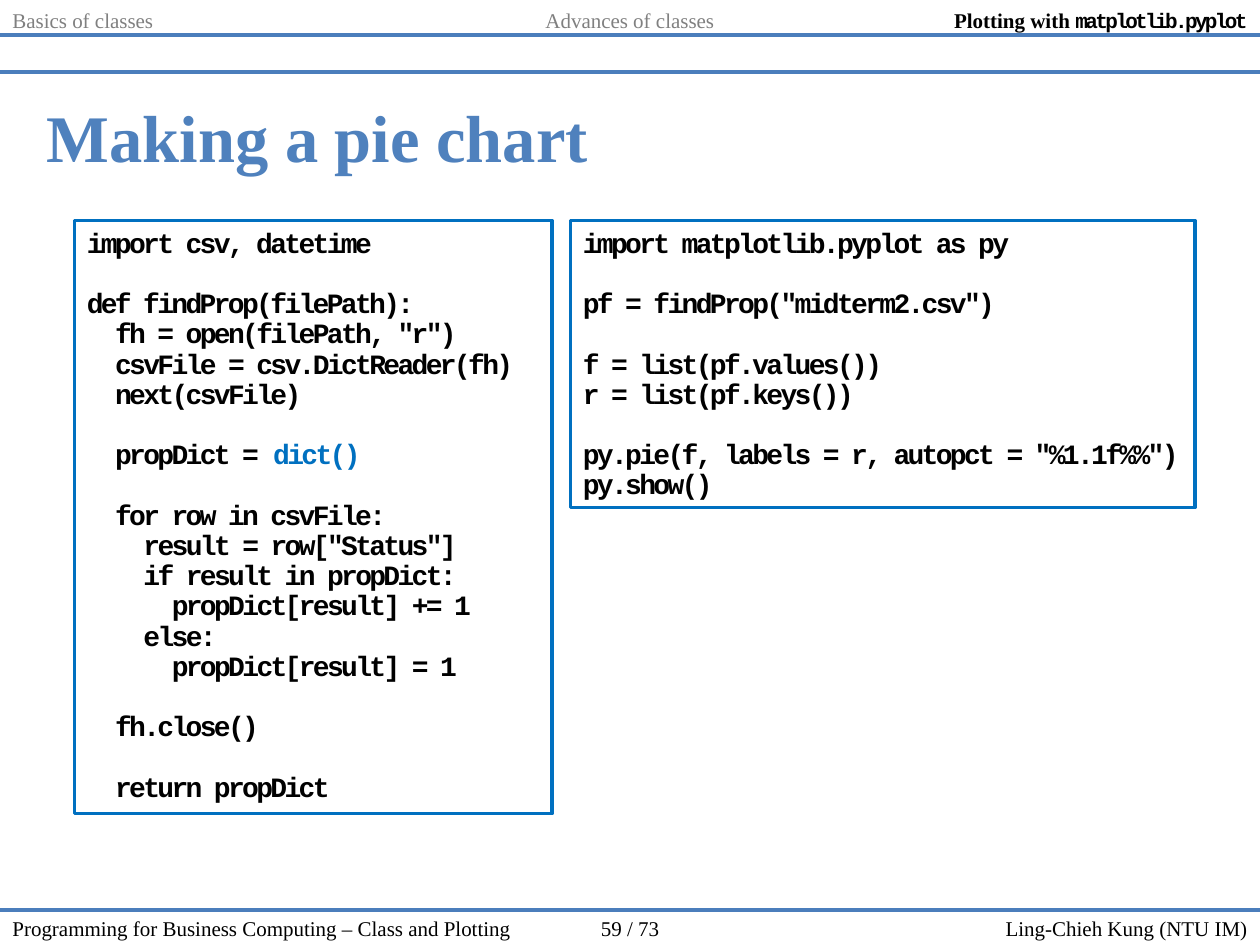
from pptx import Presentation
from pptx.dml.color import RGBColor
from pptx.enum import shapes, text
from pptx.oxml import xmlchemy
from pptx.util import Pt

COLORS = {"black": "000000", "grey": "808080", "white": "FFFFFF",
          "rule": "4B7EBC", "title": "4F81BD", "code": "0070C0"}
SERIF, MONO = "Times New Roman", "Courier New"
LEFT, CENTER, RIGHT = (text.PP_ALIGN.LEFT, text.PP_ALIGN.CENTER,
                       text.PP_ALIGN.RIGHT)
WIDTH, HEIGHT, BAND = 720, 540, 20.16
LINE_PITCH, INDENT_STEP, TRACKING = 17.25, 8.1, "-150"


class Page:
    def __init__(self, deck):
        self.page = deck.slides.add_slide(deck.slide_layouts[5])

    def color(self, name):
        return RGBColor.from_string(COLORS[name])

    def style(self, font, face, size, color, bold=False):
        font.name, font.size, font.bold = face, Pt(size), bold
        font.color.rgb = self.color(color)

    def place(self, shape, left, top, width, height):
        shape.left, shape.top = Pt(left), Pt(top)
        shape.width, shape.height = Pt(width), Pt(height)

    def span(self, para, words, color=None, mono=False):
        span = para.add_run()
        span.text = words
        if color:
            span.font.color.rgb = self.color(color)
        if mono:
            span.font.name = MONO
            span.font._element.set("spc", TRACKING)

    def title(self, words, *area):
        box = self.page.shapes.title
        self.place(box, *area)
        box.text_frame.text = words
        box.text_frame.vertical_anchor = text.MSO_ANCHOR.MIDDLE
        para = box.text_frame.paragraphs[0]
        para.alignment = LEFT
        self.style(para.font, SERIF, 38, "title", True)

    def rule(self, top):
        line = self.page.shapes.add_connector(
            shapes.MSO_CONNECTOR.STRAIGHT, 0, Pt(top), Pt(WIDTH), Pt(top))
        line.line.color.rgb = self.color("rule")
        line.line.width = Pt(2.25)
        line._element.spPr.append(xmlchemy.OxmlElement("a:effectLst"))

    def label(self, words, left, top, width, align, color="black",
              bold=False, code=""):
        box = self.page.shapes.add_textbox(
            Pt(left), Pt(top), Pt(width), Pt(BAND))
        box.text_frame.word_wrap = True
        para = box.text_frame.paragraphs[0]
        para.alignment = align
        self.style(para.font, SERIF, 12, color, bold)
        self.span(para, words)
        if code:
            self.span(para, code, mono=True)

    def code(self, source, left, top, width, height, accent=None):
        box = self.page.shapes.add_shape(
            shapes.MSO_SHAPE.RECTANGLE, Pt(left), Pt(top), Pt(width), Pt(height))
        box.shadow.inherit = False
        box.fill.solid()
        box.fill.fore_color.rgb = self.color("white")
        box.line.color.rgb = self.color("code")
        box.line.width = Pt(2)
        frame = box.text_frame
        frame.word_wrap = True
        frame.vertical_anchor = text.MSO_ANCHOR.TOP
        frame.margin_top = Pt(4.7)
        para, gap = frame.paragraphs[0], 0
        for number, line in enumerate(source.strip().splitlines()):
            if not line:
                gap = LINE_PITCH
                continue
            if number:
                para = frame.add_paragraph()
            para.alignment = LEFT
            para.line_spacing, para.space_before = Pt(LINE_PITCH), Pt(gap)
            gap = 0
            words = line.lstrip()
            indent = (len(line) - len(words)) * INDENT_STEP
            para._p.get_or_add_pPr().set("marL", str(Pt(indent)))
            self.style(para.font, MONO, 16, "black", True)
            before, found, after = words.partition(accent or "\n")
            for part, color in ((before, None), (found, "code"), (after, None)):
                if part:
                    self.span(para, part, color, mono=True)


FIND_PROP = """
import csv, datetime

def findProp(filePath):
  fh = open(filePath, "r")
  csvFile = csv.DictReader(fh)
  next(csvFile)

  propDict = dict()

  for row in csvFile:
    result = row["Status"]
    if result in propDict:
      propDict[result] += 1
    else:
      propDict[result] = 1

  fh.close()

  return propDict
"""

DRAW_PIE = """
import matplotlib.pyplot as py

pf = findProp("midterm2.csv")

f = list(pf.values())
r = list(pf.keys())

py.pie(f, labels = r, autopct = "%1.1f%%")
py.show()
"""

deck = Presentation()
deck.slide_width, deck.slide_height = Pt(WIDTH), Pt(HEIGHT)
page = Page(deck)

footer = HEIGHT - BAND
for top in (BAND, 41, footer):
    page.rule(top)

page.label("Programming for Business Computing – Class and Plotting",
           0, footer, 326, LEFT)
page.label("59 / 73", 326, footer, 68, CENTER)
page.label("Ling-Chieh Kung (NTU IM)", 394, footer, 326, RIGHT)

page.title("Making a pie chart", 19.5, 43.2, 686, 68.4)
page.code(FIND_PROP, 42.5, 126, 273, 339, accent="dict()")
page.code(DRAW_PIE, 326, 126, 357, 164)

page.label("Basics of classes", 0, 1, 241, LEFT, "grey")
page.label("Advances of classes", 241, 1, 238, CENTER, "grey")
page.label("Plotting with ", 479, 1, 241, RIGHT, bold=True,
           code="matplotlib.pyplot")

deck.save("out.pptx")
